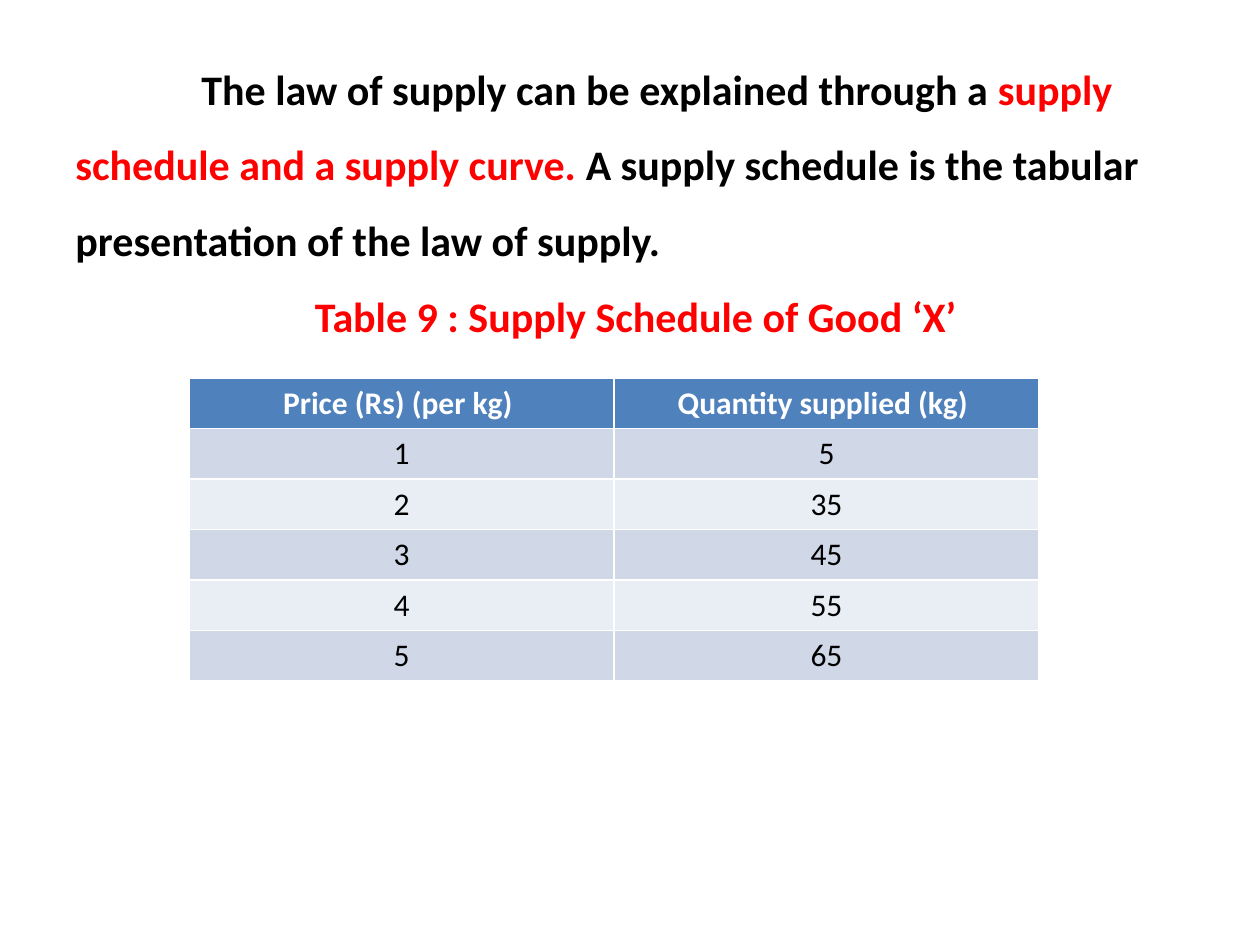
from pptx import Presentation
from pptx.dml.color import RGBColor
from pptx.enum.text import MSO_AUTO_SIZE, PP_ALIGN
from pptx.util import Pt

PX = 914400 // 126
CENTER = PP_ALIGN.CENTER
GROW = MSO_AUTO_SIZE.SHAPE_TO_FIT_TEXT
BLACK = RGBColor(0x00, 0x00, 0x00)
WHITE = RGBColor(0xFF, 0xFF, 0xFF)
RED = RGBColor(0xFF, 0x00, 0x00)
BLUE = RGBColor(0x4F, 0x81, 0xBD)
BANDS = [RGBColor(0xE9, 0xED, 0xF4), RGBColor(0xD0, 0xD8, 0xE8)]


def set_font(par, size, bold):
    par.font.name = "Calibri"
    par.font.size = Pt(size)
    par.font.bold = bold


deck = Presentation()
deck.slide_width = 1260 * PX
deck.slide_height = 945 * PX
slide = deck.slides.add_slide(deck.slide_layouts[6])

box = slide.shapes.add_textbox(63 * PX, 32 * PX, 1155 * PX, 394 * PX)
frame = box.text_frame
frame.word_wrap = True
frame.auto_size = GROW
intro = frame.paragraphs[0]
intro._p.get_or_add_pPr().set("indent", str(126 * PX))
title = frame.add_paragraph()
title.alignment = CENTER
for par in (intro, title):
    par.line_spacing = 1.5
    set_font(par, 24, True)

for par, text, color in [
    (intro, "The law of supply can be explained through a ", BLACK),
    (intro, "supply schedule and a supply curve. ", RED),
    (intro, "A supply schedule is the tabular presentation of the law of supply.", BLACK),
    (title, "Table 9 : Supply Schedule of Good ‘X’ ", RED),
]:
    run = par.add_run()
    run.text = text
    run.font.color.rgb = color

rows = [
    ("Price (Rs) (per kg) ", "Quantity supplied (kg) "),
    ("1", "5"),
    ("2", "35"),
    ("3", "45"),
    ("4", "55"),
    ("5", "65"),
]
grid = slide.shapes.add_table(
    len(rows), 2, 189 * PX, 378 * PX, 850 * PX, 300 * PX
).table
for r, row in enumerate(rows):
    head = r == 0
    for c, text in enumerate(row):
        cell = grid.cell(r, c)
        cell.fill.solid()
        cell.fill.fore_color.rgb = BLUE if head else BANDS[r % 2]
        cell.text = text
        par = cell.text_frame.paragraphs[0]
        par.alignment = CENTER
        set_font(par, 18, head)
        par.font.color.rgb = WHITE if head else BLACK

deck.save("out.pptx")
